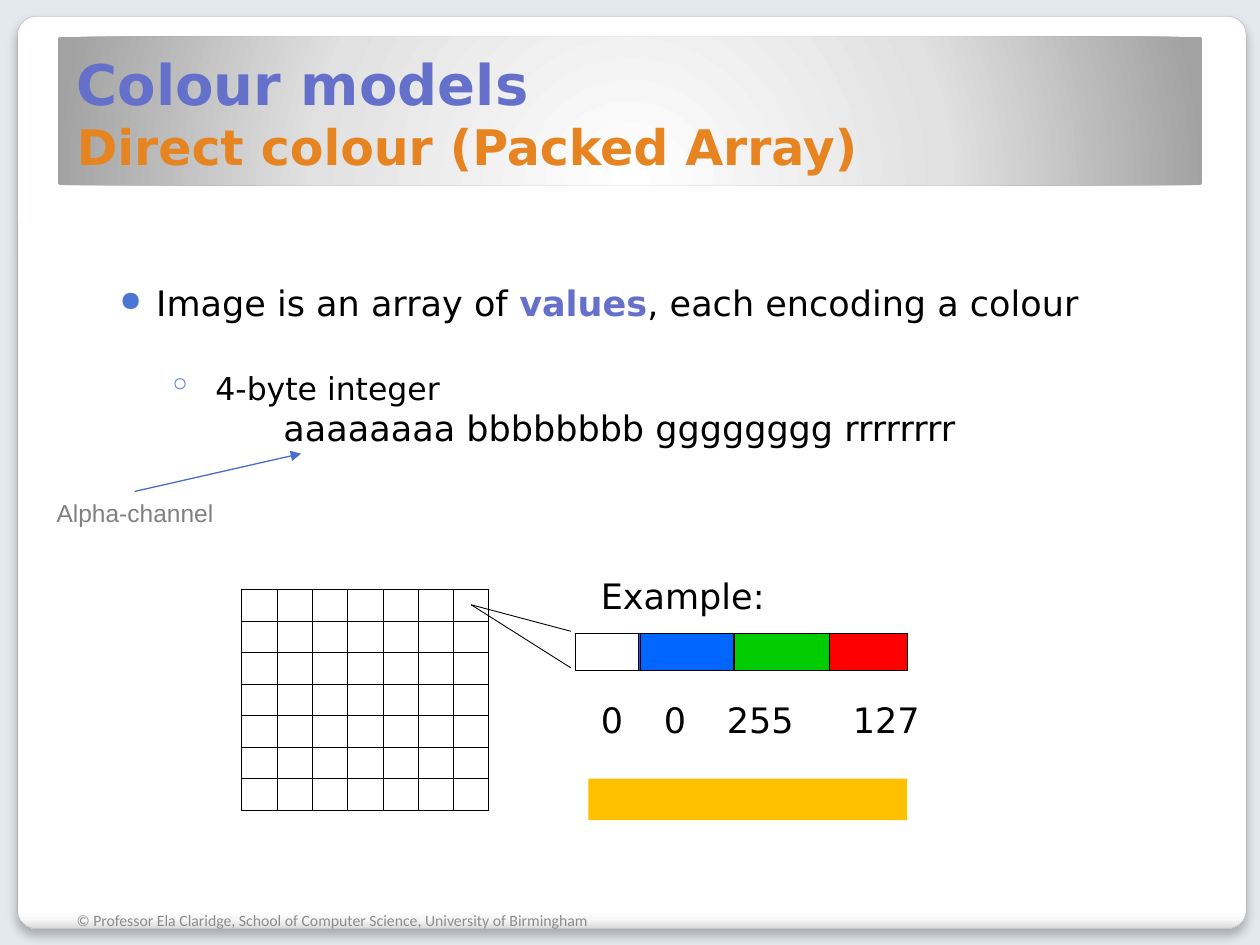
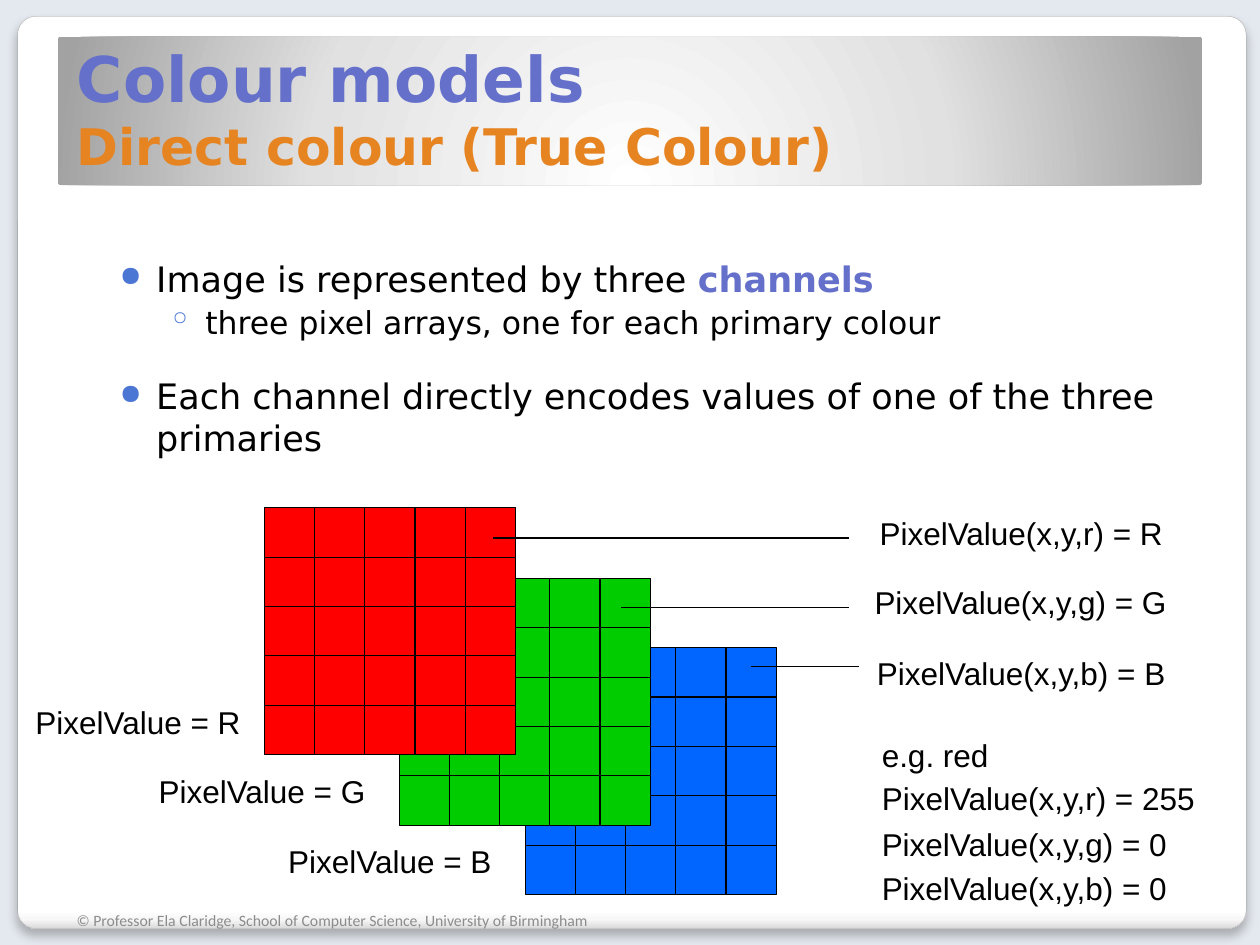
from lxml.etree import SubElement
from pptx import Presentation
from pptx.dml.color import RGBColor
from pptx.enum.shapes import MSO_CONNECTOR, MSO_SHAPE
from pptx.enum.text import MSO_ANCHOR, PP_ALIGN
from pptx.oxml import parse_xml
from pptx.oxml.ns import nsdecls, qn
from pptx.util import Inches, Pt

BACKGROUND = RGBColor(0xE4, 0xE9, 0xEF)
CARD_EDGE = RGBColor(0xA4, 0xA4, 0xA4)
VIOLET = RGBColor(0x64, 0x70, 0xCA)
ORANGE = RGBColor(0xE6, 0x84, 0x22)
ARROW_BLUE = RGBColor(0x4B, 0x6C, 0xC9)
BULLET_BLUE = RGBColor(0x4C, 0x76, 0xD4)
BLACK = RGBColor(0x00, 0x00, 0x00)
GREY = RGBColor(0x80, 0x80, 0x80)
FOOTER_GREY = RGBColor(0x8C, 0x8C, 0x8C)
RED = RGBColor(0xFF, 0x00, 0x00)
GREEN = RGBColor(0x00, 0xCC, 0x00)
BLUE = RGBColor(0x00, 0x66, 0xFF)
AMBER = RGBColor(0xFF, 0xC0, 0x00)

HEADING_FONT = "DejaVu Sans"
LABEL_FONT = "Arial"
FOOTER = "© Professor Ela Claridge, School of Computer Science, University of Birmingham"
CARD_STOPS = [(0, "FFFFFF"), (98, "FFFFFF"), (99, "F7F7F7"), (100, "DADADA")]
CARD_SHADE = '<a:lin ang="5400000" scaled="0"/>'
BAND_STOPS = [(0, "FFFFFF"), (55, "E1E1E1"), (100, "A2A2A2")]
BAND_SHADE = ('<a:path path="circle"><a:fillToRect l="50000" t="175000" '
              'r="50000" b="-75000"/></a:path>')


def write(frame, text, size=20, font=HEADING_FONT, color=BLACK, bold=False, join=False,
          align=PP_ALIGN.LEFT, before=0, spacing=None, indent=0, hanging=0, bullet=None,
          tabs=()):
    """Add text as a new paragraph, or as a span of the last one if join is set."""
    para = frame.paragraphs[-1]
    if not join:
        if para.runs:
            para = frame.add_paragraph()
        para.alignment = align
        para.space_before = Pt(before)
        para.line_spacing = spacing
        properties = para._p.get_or_add_pPr()
        properties.set("marL", str(Inches(indent)))
        properties.set("indent", str(Inches(-hanging)))
        if bullet:
            bullet_color = SubElement(properties, qn("a:buClr"))
            SubElement(bullet_color, qn("a:srgbClr"), val=str(BULLET_BLUE))
            if bullet == "●":
                SubElement(properties, qn("a:buSzPct"), val="80000")
            SubElement(properties, qn("a:buChar"), char=bullet)
        if tabs:
            tab_list = SubElement(properties, qn("a:tabLst"))
            for tab in tabs:
                SubElement(tab_list, qn("a:tab"), pos=str(Inches(tab)), algn="l")
    span = para.add_run()
    span.text = text
    span.font.size = Pt(size)
    span.font.name = font
    span.font.bold = bold
    span.font.color.rgb = color


def draw_line(shapes, start, end, color=BLACK, weight=0.63):
    line = shapes.add_connector(MSO_CONNECTOR.STRAIGHT, *map(Inches, start + end))
    line.line.color.rgb = color
    line.line.width = Pt(weight)
    SubElement(line._element.spPr, qn("a:effectLst"))
    return line


deck = Presentation()
deck.slide_width, deck.slide_height = Inches(10), Inches(7.5)

# Shared frame: card, title band, title and footer
pages = []
for subtitle, title_size, subtitle_size in [("Direct colour (Packed Array)", 32, 28),
                                            ("Direct colour (True Colour)", 36, 28.8)]:
    page = deck.slides.add_slide(deck.slide_layouts[5])
    pages.append(page)
    page.background.fill.solid()
    page.background.fill.fore_color.rgb = BACKGROUND

    panels = []
    for place, stops, shade in [((0.14, 0.13, 9.75, 7.24), CARD_STOPS, CARD_SHADE),
                                ((0.46, 0.29, 9.08, 1.18), BAND_STOPS, BAND_SHADE)]:
        panel = page.shapes.add_shape(MSO_SHAPE.ROUNDED_RECTANGLE, *map(Inches, place))
        panel.adjustments[0] = 0.02
        panel.shadow.inherit = False
        panel.line.fill.background()
        stop_xml = "".join(f'<a:gs pos="{position * 1000}"><a:srgbClr val="{color}"/></a:gs>'
                           for position, color in stops)
        panel._element.spPr.insert(2, parse_xml(
            f'<a:gradFill {nsdecls("a")} rotWithShape="1"><a:gsLst>{stop_xml}</a:gsLst>'
            f'{shade}</a:gradFill>'))
        panels.append(panel)
    card = panels[0]
    card.line.color.rgb = CARD_EDGE
    card.line.width = Pt(0.16)
    card._element.spPr.find(qn("a:effectLst")).append(parse_xml(
        f'<a:outerShdw {nsdecls("a")} blurRad="{Pt(6)}" dist="{Pt(4)}" dir="5400000">'
        '<a:srgbClr val="000000"><a:alpha val="25000"/></a:srgbClr></a:outerShdw>'))

    title = page.shapes.title
    page.shapes._spTree.append(title._element)
    title.left, title.top, title.width, title.height = map(Inches, (0.51, 0.29, 8.95, 1.15))
    title.text_frame.vertical_anchor = MSO_ANCHOR.BOTTOM
    write(title.text_frame, "Colour models", size=title_size, color=VIOLET, bold=True)
    title.text_frame.paragraphs[0].add_line_break()
    write(title.text_frame, subtitle, size=subtitle_size, color=ORANGE, bold=True, join=True)

    footer = page.shapes.add_textbox(*map(Inches, (0.51, 7.1, 4.46, 0.4))).text_frame
    footer.word_wrap = True
    footer.vertical_anchor = MSO_ANCHOR.MIDDLE
    write(footer, FOOTER, size=9, font="Calibri", color=FOOTER_GREY)

packed_page, true_page = pages

# Body text
bodies = []
for page, place in [(packed_page, (0.75, 2.17, 8.5, 2.34)), (true_page, (0.75, 1.94, 8.9, 2))]:
    body = page.shapes.add_textbox(*map(Inches, place)).text_frame
    body.word_wrap = True
    body.margin_left, body.margin_top = Inches(0.2), Inches(0.1)
    bodies.append(body)
packed_body, true_body = bodies

main_point = dict(bullet="●", indent=0.29, hanging=0.29)
write(packed_body, "Image is an array of ", before=2.5, spacing=0.9, **main_point)
write(packed_body, "values", color=VIOLET, bold=True, join=True)
write(packed_body, ", each encoding a colour", join=True)
write(packed_body, "4-byte integer", size=18, before=28, spacing=0.9,
      bullet="◦", indent=0.76, hanging=0.38)
write(packed_body, "aaaaaaaa bbbbbbbb gggggggg rrrrrrrr", before=2.5, spacing=0.9, indent=1.3)

write(true_body, "Image is represented by three ", before=2.5, **main_point)
write(true_body, "channels", color=VIOLET, bold=True, join=True)
write(true_body, "three pixel arrays, one for each primary colour", size=18, before=2.5,
      bullet="◦", indent=0.68, hanging=0.3)
write(true_body, "Each channel directly encodes values of one of the three primaries",
      before=19, **main_point)

# Pixel grids
for page, left, top, width, height, cells, fill, weight in [
        (packed_page, 1.92, 4.68, 1.96, 1.75, 7, None, 0.5),
        (true_page, 4.17, 5.14, 1.99, 1.96, 5, BLUE, 0.63),
        (true_page, 3.17, 4.59, 1.99, 1.96, 5, GREEN, 0.63),
        (true_page, 2.1, 4.03, 1.99, 1.96, 5, RED, 0.63)]:
    grid = page.shapes.add_group_shape().shapes
    outline = grid.add_shape(MSO_SHAPE.RECTANGLE, *map(Inches, (left, top, width, height)))
    outline.shadow.inherit = False
    outline.line.color.rgb = BLACK
    outline.line.width = Pt(weight)
    if fill is None:
        outline.fill.background()
    else:
        outline.fill.solid()
        outline.fill.fore_color.rgb = fill
    for step in range(1, cells):
        x, y = left + width * step / cells, top + height * step / cells
        draw_line(grid, (x, top), (x, top + height), weight=weight)
        draw_line(grid, (left, y), (left + width, y), weight=weight)

# Packed array: one pixel taken apart into its four bytes
for left, top, width, height, fill, outlined in [
        (6.45, 5.03, 0.75, 0.29, RED, True),
        (5.83, 5.03, 0.75, 0.29, GREEN, True),
        (5.07, 5.03, 0.75, 0.29, BLUE, True),
        (4.57, 5.03, 0.51, 0.29, None, True),
        (4.67, 6.18, 2.53, 0.33, AMBER, False)]:
    swatch = packed_page.shapes.add_shape(MSO_SHAPE.RECTANGLE,
                                          *map(Inches, (left, top, width, height)))
    swatch.shadow.inherit = False
    if fill is None:
        swatch.fill.background()
    else:
        swatch.fill.solid()
        swatch.fill.fore_color.rgb = fill
    if outlined:
        swatch.line.color.rgb = BLACK
        swatch.line.width = Pt(0.5)
    else:
        swatch.line.fill.background()

for pointer_end in [(4.53, 5.01), (4.53, 5.3)]:
    draw_line(packed_page.shapes, (3.74, 4.8), pointer_end, weight=0.5)

example = packed_page.shapes.add_textbox(*map(Inches, (4.67, 4.51, 2.77, 1.78))).text_frame
example.word_wrap = True
write(example, "Example:")
write(example, "0\t0\t255\t127", before=47, tabs=(0.53, 1.06, 1.77))

alpha_arrow = draw_line(packed_page.shapes, (1.07, 3.9), (2.39, 3.6), ARROW_BLUE, 0.75)
SubElement(alpha_arrow.line._get_or_add_ln(), qn("a:tailEnd"), type="triangle")

# True colour: leader lines from each channel
for start, end in [((3.91, 4.27), (6.74, 4.27)),
                   ((4.93, 4.82), (6.74, 4.82)),
                   ((5.96, 5.29), (6.82, 5.29))]:
    draw_line(true_page.shapes, start, end)

# Labels
for page, text, left, top, width, size, color, align in [
        (packed_page, "Alpha-channel", 0.35, 3.9, 1.45, 14, GREY, PP_ALIGN.LEFT),
        (true_page, "PixelValue = R", 0.17, 5.53, 1.85, 18, BLACK, PP_ALIGN.CENTER),
        (true_page, "PixelValue = G", 1.15, 6.08, 1.86, 18, BLACK, PP_ALIGN.CENTER),
        (true_page, "PixelValue = B", 2.18, 6.63, 1.83, 18, BLACK, PP_ALIGN.CENTER),
        (true_page, "PixelValue(x,y,r) = R", 6.86, 4.03, 2.49, 18, BLACK, PP_ALIGN.CENTER),
        (true_page, "PixelValue(x,y,g) = G", 6.82, 4.58, 2.56, 18, BLACK, PP_ALIGN.CENTER),
        (true_page, "PixelValue(x,y,b) = B", 6.84, 5.14, 2.53, 18, BLACK, PP_ALIGN.CENTER),
        (true_page, "e.g. red", 6.9, 5.79, 1.06, 18, BLACK, PP_ALIGN.LEFT),
        (true_page, "PixelValue(x,y,r) = 255", 6.9, 6.13, 2.71, 18, BLACK, PP_ALIGN.LEFT),
        (true_page, "PixelValue(x,y,g) = 0", 6.9, 6.5, 2.56, 18, BLACK, PP_ALIGN.LEFT),
        (true_page, "PixelValue(x,y,b) = 0", 6.9, 6.85, 2.53, 18, BLACK, PP_ALIGN.LEFT)]:
    label = page.shapes.add_textbox(*map(Inches, (left, top, width, 0.4))).text_frame
    label.word_wrap = False
    write(label, text, size=size, font=LABEL_FONT, color=color, align=align)

deck.save("out.pptx")
